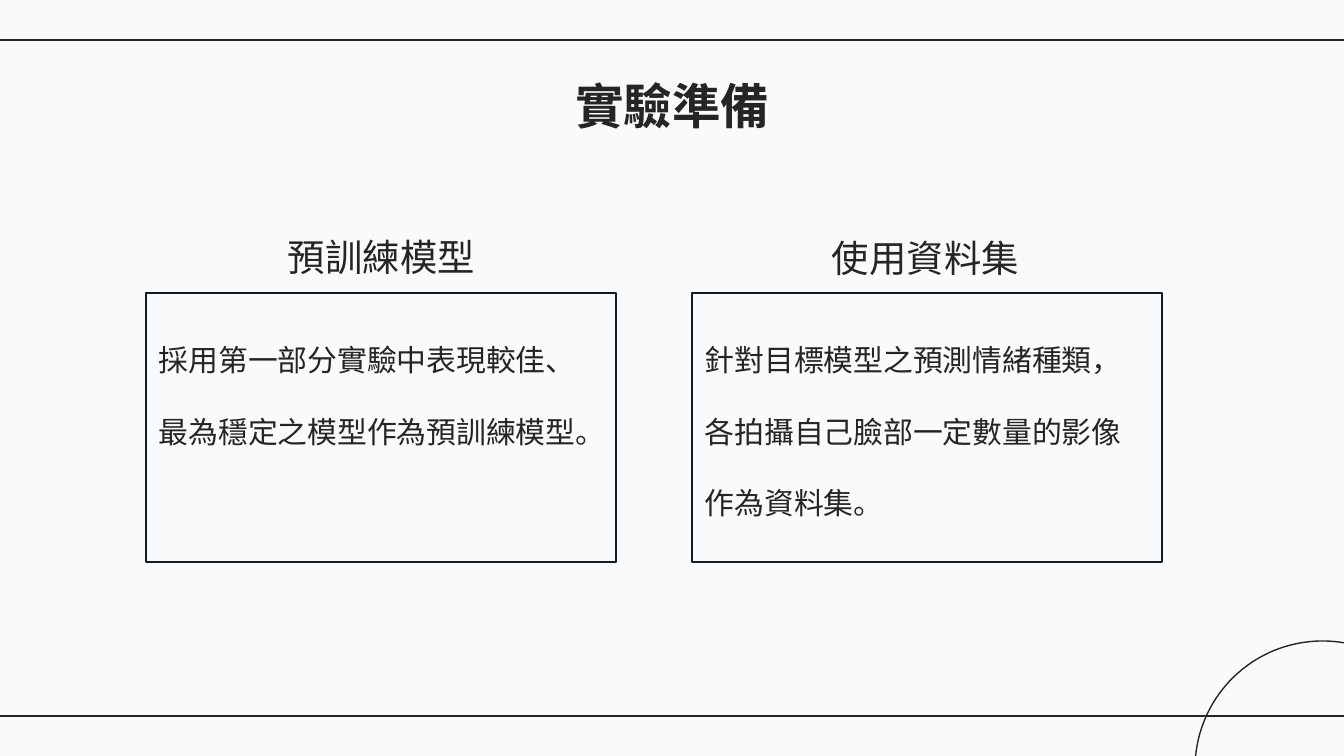
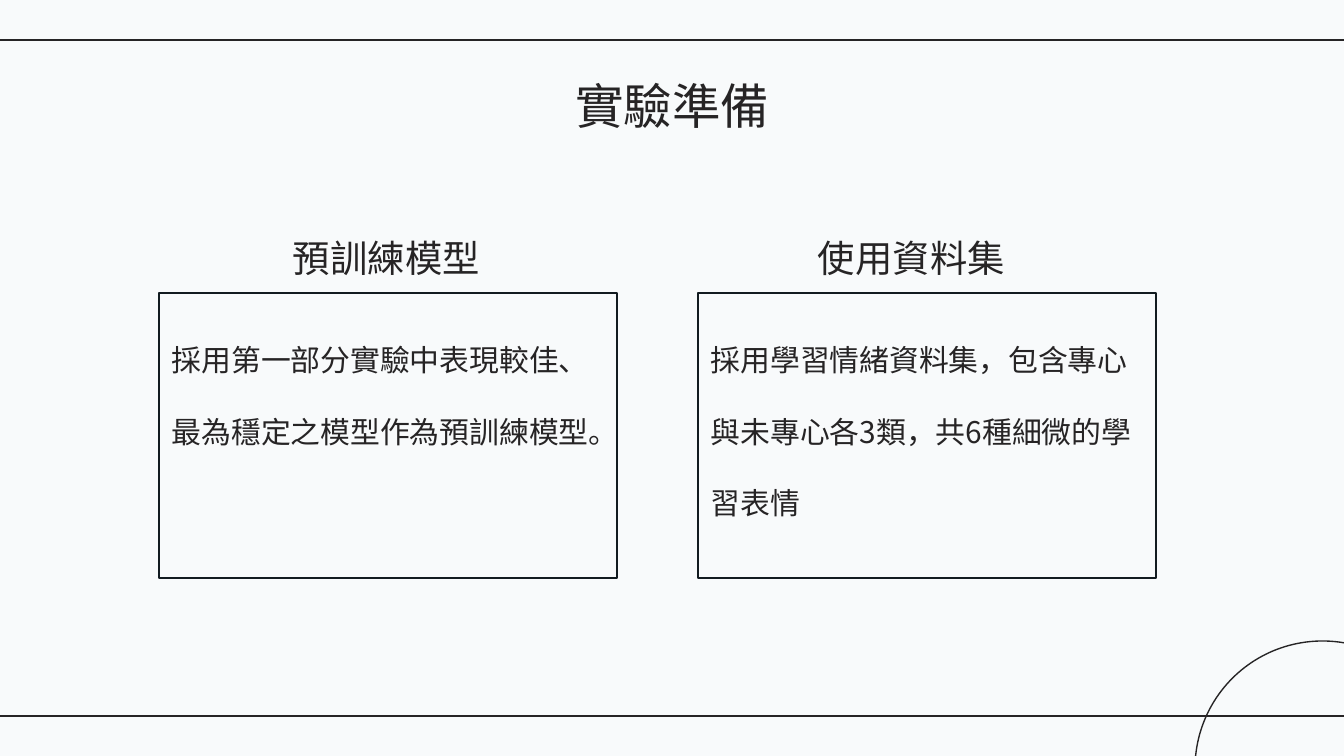
from lxml import etree
from pptx import Presentation
from pptx import util as u
from pptx.dml.color import RGBColor
from pptx.enum import shapes, text
from pptx.oxml import ns

COLORS = {"background": "F8FAFB", "ink": "262425", "border": "121B20"}
FONT = "Noto Sans CJK TC"
WIDTH, HEIGHT = 1344, 756
SCALE = u.Inches(10) / WIDTH
INSET = 13
BOX_TOP = 293
HEADING_SIZE = (427, 90)
PRETRAINED = "採用第一部分實驗中表現較佳、最為穩定之模型作為預訓練模型。"

SLIDES = [
    {
        "bold_title": True,
        "box_size": (470, 269),
        "columns": [
            ("預訓練模型", (168, 202), PRETRAINED, 146),
            ("使用資料集", (712, 203),
             "針對目標模型之預測情緒種類，各拍攝自己臉部一定數量的影像作為資料集。", 692),
        ],
    },
    {
        "bold_title": False,
        "box_size": (458, 285),
        "columns": [
            ("預訓練模型", (173, 203), PRETRAINED, 159),
            ("使用資料集", (698, 203),
             "採用學習情緒資料集，包含專心與未專心各3類，共6種細微的學習表情", 698),
        ],
    },
]


def px(*lengths):
    """Turn pixel lengths into EMU."""
    return [u.Emu(round(length * SCALE)) for length in lengths]


def color(name):
    """Look up a named colour."""
    return RGBColor.from_string(COLORS[name])


def set_line(shape, name, width):
    """Give an outline or connector its colour and width in points."""
    shape.line.color.rgb = color(name)
    shape.line.width = u.Pt(width)


def write(shape, words, size, bold=False, align=text.PP_ALIGN.LEFT,
          anchor=text.MSO_ANCHOR.TOP, spacing=1.0):
    """Fill a shape with one formatted paragraph."""
    frame = shape.text_frame
    frame.word_wrap = True
    frame.vertical_anchor = anchor
    frame.margin_left, frame.margin_top, frame.margin_right, frame.margin_bottom = px(*[INSET] * 4)
    paragraph = frame.paragraphs[0]
    paragraph.alignment = align
    paragraph.line_spacing = spacing
    run = paragraph.add_run()
    run.text = words
    run.font.size = u.Pt(size)
    run.font.bold = bold
    run.font.name = FONT
    run.font.color.rgb = color("ink")
    properties = run._r.get_or_add_rPr()
    etree.SubElement(properties, ns.qn("a:ea"), typeface=FONT)


def add_label(slide, words, bounds, size, **style):
    """Add a centred text box."""
    label = slide.shapes.add_textbox(*px(*bounds))
    write(label, words, size, align=text.PP_ALIGN.CENTER, **style)


def add_outline(slide, kind, bounds, line_color, line_width):
    """Add an unfilled preset shape."""
    shape = slide.shapes.add_shape(kind, *px(*bounds))
    shape.shadow.inherit = False
    shape.fill.background()
    set_line(shape, line_color, line_width)
    return shape


def add_rule(slide, top):
    """Add a horizontal line across the slide."""
    rule = slide.shapes.add_connector(shapes.MSO_CONNECTOR.STRAIGHT, *px(WIDTH, top, 0, top))
    set_line(rule, "ink", 0.75)
    etree.SubElement(rule._element.spPr, ns.qn("a:effectLst"))


def add_frame(slide):
    """Add the background, rules and corner circle that all slides share."""
    fill = slide.background.fill
    fill.solid()
    fill.fore_color.rgb = color("background")
    for top in (40, HEIGHT - 40):
        add_rule(slide, top)
    add_outline(slide, shapes.MSO_SHAPE.OVAL, (1195, 641, 255, 255), "ink", 0.75)


def add_column(slide, heading, heading_place, body, box_left, box_size):
    """Add a framed text with its heading above."""
    box = add_outline(slide, shapes.MSO_SHAPE.RECTANGLE,
                      (box_left, BOX_TOP, *box_size), "border", 1)
    write(box, body, 16, spacing=2.0)
    add_label(slide, heading, (*heading_place, *HEADING_SIZE), 20, anchor=text.MSO_ANCHOR.BOTTOM)


def main():
    """Build and save the presentation."""
    presentation = Presentation()
    presentation.slide_width, presentation.slide_height = px(WIDTH, HEIGHT)
    for content in SLIDES:
        slide = presentation.slides.add_slide(presentation.slide_layouts[6])
        add_frame(slide)
        add_label(slide, "實驗準備", (106, 60, 1133, 90), 26,
                  bold=content["bold_title"], anchor=text.MSO_ANCHOR.MIDDLE)
        for column in content["columns"]:
            add_column(slide, *column, content["box_size"])
    presentation.save("out.pptx")


if __name__ == "__main__":
    main()
